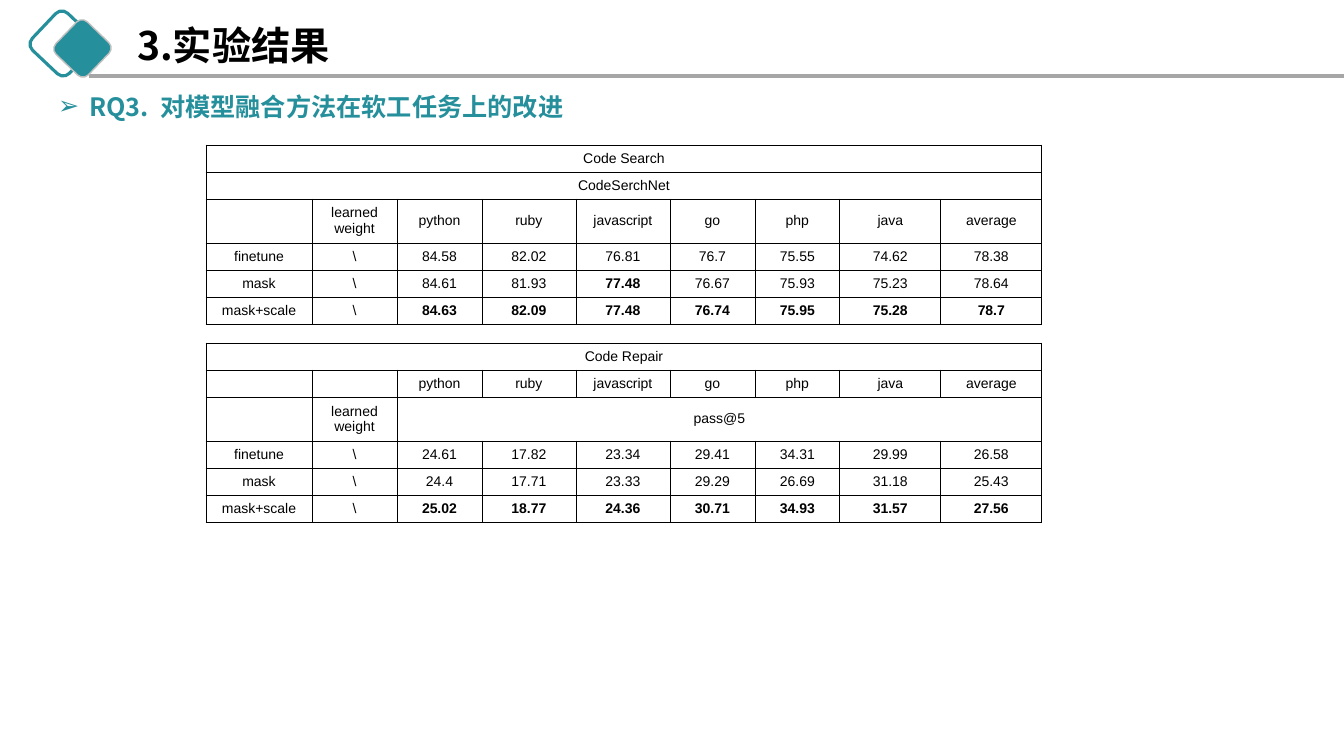
from lxml.etree import SubElement
from pptx import Presentation
from pptx.dml.color import RGBColor
from pptx.enum.shapes import MSO_CONNECTOR, MSO_SHAPE
from pptx.enum.text import MSO_ANCHOR, MSO_AUTO_SIZE, PP_ALIGN
from pptx.oxml.ns import qn
from pptx.util import Emu, Pt

HEADS = "python|ruby|javascript|go|php|java|average"
COLS = [106, 85, 85, 94, 94, 85, 85, 101, 101]
ROW, TALL = 27, 44

# A leading * marks bold; the last entry of a short row spans the rest.
SEARCH = [
    "Code Search",
    "CodeSerchNet",
    "|learned weight|" + HEADS,
    "finetune|\\|84.58|82.02|76.81|76.7|75.55|74.62|78.38",
    "mask|\\|84.61|81.93|*77.48|76.67|75.93|75.23|78.64",
    "mask+scale|\\|*84.63|*82.09|*77.48|*76.74|*75.95|*75.28|*78.7",
]
REPAIR = [
    "Code Repair",
    "||" + HEADS,
    "|learned weight|pass@5",
    "finetune|\\|24.61|17.82|23.34|29.41|34.31|29.99|26.58",
    "mask|\\|24.4|17.71|23.33|29.29|26.69|31.18|25.43",
    "mask+scale|\\|*25.02|*18.77|*24.36|*30.71|*34.93|*31.57|*27.56",
]


def px(n):
    return Emu(round(n * 914400 / 100.8))


def hue(code):
    return RGBColor.from_string(code)


def apply(item, values):
    for name, value in values.items():
        setattr(item, name, value)


class Deck:
    teal, black, grey, pale = "268F9C", "000000", "A6A6A6", "BFBFBF"
    cjk, sans = "Noto Sans CJK SC", "Arial"

    def __init__(self):
        self.prs = Presentation()
        apply(self.prs, {"slide_width": px(1344), "slide_height": px(756)})
        self.slide = self.prs.slides.add_slide(self.prs.slide_layouts[1])

    def label(self, para, text, size, face, color, bold):
        run = para.add_run()
        run.text = text
        apply(run.font, {"size": Pt(size), "name": face, "bold": bold})
        run.font.color.rgb = hue(color)
        SubElement(run.font._element, qn("a:ea"), typeface=face)

    def holder(self, spot, box, text, size, color, mark=None):
        """Move and fill a template placeholder, with an optional bullet."""
        shape = self.slide.placeholders[spot]
        apply(shape, dict(zip(("left", "top", "width", "height"), map(px, box))))
        frame = shape.text_frame
        apply(frame, {"word_wrap": True, "auto_size": MSO_AUTO_SIZE.NONE,
                      "vertical_anchor": MSO_ANCHOR.MIDDLE})
        para = frame.paragraphs[0]
        if mark:
            props = para._p.get_or_add_pPr()
            props.set("marL", str(px(31)))
            props.set("indent", str(-px(31)))
            SubElement(props, qn("a:buFont"), typeface=self.sans)
            SubElement(props, qn("a:buChar"), char=mark)
        apply(para, {"alignment": PP_ALIGN.LEFT, "line_spacing": 1.0,
                     "space_before": Pt(0)})
        self.label(para, text, size, self.cjk, color, True)

    def diamond(self, left, top, side, turn, line, width, fill=None):
        shape = self.slide.shapes.add_shape(
            MSO_SHAPE.ROUNDED_RECTANGLE, *map(px, (left, top, side, side)))
        shape.rotation = turn
        shape.shadow.inherit = False
        if fill:
            shape.fill.solid()
            shape.fill.fore_color.rgb = hue(fill)
        else:
            shape.fill.background()
        shape.line.color.rgb = hue(line)
        shape.line.width = Pt(width)

    def rule(self, left, right, y):
        line = self.slide.shapes.add_connector(
            MSO_CONNECTOR.STRAIGHT, *map(px, (left, y, right, y)))
        line.line.color.rgb = hue(self.grey)
        line.line.width = Pt(2.25)
        SubElement(line._element.spPr, qn("a:effectLst"))

    def border(self, cell):
        props = cell._tc.get_or_add_tcPr()
        for side in "LRTB":
            edge = SubElement(props, qn("a:ln" + side), w=str(Pt(0.5)))
            fill = SubElement(edge, qn("a:solidFill"))
            SubElement(fill, qn("a:srgbClr"), val=self.black)

    def cell(self, cell, text):
        self.border(cell)
        cell.fill.background()
        cell.vertical_anchor = MSO_ANCHOR.MIDDLE
        para = cell.text_frame.paragraphs[0]
        para.alignment = PP_ALIGN.CENTER
        if text:
            self.label(para, text.lstrip("*"), 10, self.sans, self.black,
                       text.startswith("*"))
        else:
            SubElement(para._p, qn("a:endParaRPr"), sz="1000")

    def table(self, left, top, lines):
        tall = [TALL if "learned" in line else ROW for line in lines]
        grid = self.slide.shapes.add_table(
            len(lines), len(COLS), *map(px, (left, top, sum(COLS), sum(tall)))).table
        apply(grid, {"first_row": False, "horz_banding": False})
        for col, width in zip(grid.columns, COLS):
            col.width = px(width)
        for r, line in enumerate(lines):
            grid.rows[r].height = px(tall[r])
            texts = line.split("|")
            last = len(texts) - 1
            for c in range(len(COLS)):
                self.cell(grid.cell(r, c), texts[c] if c <= last else "")
            if len(texts) < len(COLS):
                grid.cell(r, last).merge(grid.cell(r, len(COLS) - 1))


def main():
    deck = Deck()
    deck.diamond(37, 18, 51, 43.4, deck.teal, 2.25)
    deck.rule(89, 1344, 76)
    deck.diamond(60, 26, 45, 43.9, deck.pale, 1, deck.teal)
    deck.holder(0, (127, 16, 722, 57), "3.实验结果", 28, deck.black)
    deck.holder(1, (48, 86, 576, 40), "RQ3.  对模型融合方法在软工任务上的改进",
                18, deck.teal, "➢")
    deck.table(206, 145, SEARCH)
    deck.table(206, 343, REPAIR)
    deck.prs.save("out.pptx")


if __name__ == "__main__":
    main()
